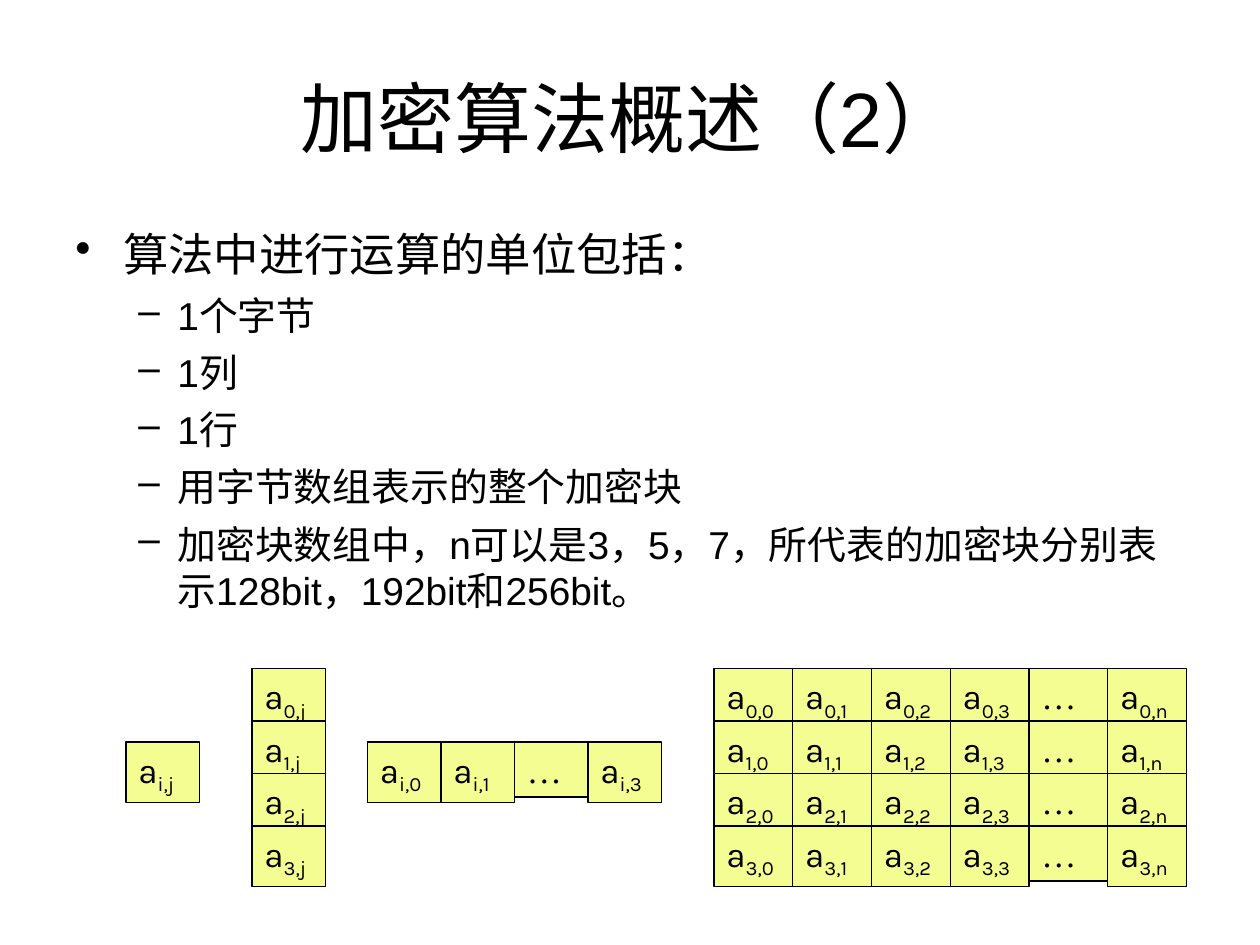
import pptx
import pptx.dml.color
import pptx.enum.shapes
import pptx.enum.text
import pptx.oxml
import pptx.oxml.ns
import pptx.util

COLORS = {"text": "000000", "cell": "F3FD91", "page": "FFFFFF"}
WIDTH, HEIGHT = pptx.util.Inches(10), pptx.util.Inches(7.5)
UNIT = WIDTH / 240
ROW_STEP = 10
ELLIPSIS = "…"
LEVELS = [
    {"size": 25.9, "left": 0.38, "hang": 0.38, "bullet": "•"},
    {"size": 22.2, "left": 0.81, "hang": 0.31, "bullet": "–"},
]
BULLETS = [
    (0, "算法中进行运算的单位包括："),
    (1, "1个字节"),
    (1, "1列"),
    (1, "1行"),
    (1, "用字节数组表示的整个加密块"),
    (1, "加密块数组中，n可以是3，5，7，所代表的加密块分别表示128bit，192bit和256bit。"),
]
MATRIX_COLUMNS = ["0", "1", "2", "3", ELLIPSIS, "n"]


def color(name):
    """Return the named colour."""
    return pptx.dml.color.RGBColor.from_string(COLORS[name])


def place(shape, box):
    """Move a shape to a box given in grid units."""
    shape.left, shape.top, shape.width, shape.height = (round(side * UNIT) for side in box)


def add_span(para, text, size, font="Arial", baseline=0):
    """Add one formatted run to a paragraph."""
    span = para.add_run()
    span.text = text
    span.font.size = pptx.util.Pt(size)
    span.font.name = font
    span.font.color.rgb = color("text")
    if baseline:
        span._r.get_or_add_rPr().set("baseline", str(baseline * 1000))


def set_bullet(para, level):
    """Give a paragraph the bullet and hanging indent of its level."""
    style = LEVELS[level]
    para.level = level
    properties = para._p.get_or_add_pPr()
    properties.set("marL", str(pptx.util.Inches(style["left"])))
    properties.set("indent", str(-pptx.util.Inches(style["hang"])))
    bullet = pptx.oxml.parse_xml(
        f'<a:buChar {pptx.oxml.ns.nsdecls("a")} char="{style["bullet"]}"/>')
    properties.append(bullet)


def add_title(page, box):
    """Format the title placeholder."""
    title = page.shapes.title
    place(title, box)
    frame = title.text_frame
    frame.vertical_anchor = pptx.enum.text.MSO_ANCHOR.MIDDLE
    para = frame.paragraphs[0]
    para.alignment = pptx.enum.text.PP_ALIGN.CENTER
    add_span(para, "加密算法概述（2）", 44)


def add_body(page, box):
    """Add the two-level bullet list."""
    body = page.shapes.add_textbox(0, 0, 0, 0)
    place(body, box)
    frame = body.text_frame
    frame.word_wrap = True
    for index, (level, text) in enumerate(BULLETS):
        para = frame.add_paragraph() if index else frame.paragraphs[0]
        set_bullet(para, level)
        para.space_before = pptx.util.Pt(6 if index else 0)
        add_span(para, text, LEVELS[level]["size"])


def add_cell(shapes, box, label):
    """Add one byte cell, labelled with an index or an ellipsis."""
    cell = shapes.add_shape(pptx.enum.shapes.MSO_SHAPE.RECTANGLE, 0, 0, 0, 0)
    place(cell, box)
    cell.shadow.inherit = False
    cell.fill.solid()
    cell.fill.fore_color.rgb = color("cell")
    cell.line.color.rgb = color("text")
    cell.line.width = pptx.util.Pt(0.75)
    frame = cell.text_frame
    frame.word_wrap = True
    frame.auto_size = pptx.enum.text.MSO_AUTO_SIZE.SHAPE_TO_FIT_TEXT
    frame.vertical_anchor = pptx.enum.text.MSO_ANCHOR.TOP
    para = frame.paragraphs[0]
    para.alignment = pptx.enum.text.PP_ALIGN.LEFT
    if label == ELLIPSIS:
        add_span(para, label, 20, "Times New Roman")
    else:
        add_span(para, "a", 20, "Karla")
        add_span(para, label, 20, "Karla", -25)


def add_array(page, left, top, cell_width, rows, columns):
    """Add a grouped array of cells from its row and column indices."""
    shapes = page.shapes
    if len(rows) * len(columns) > 1:
        shapes = shapes.add_group_shape().shapes
    for row, row_index in enumerate(rows):
        for column, column_index in enumerate(columns):
            gap = column_index == ELLIPSIS
            label = ELLIPSIS if gap else f"{row_index},{column_index}"
            box = (left + column * cell_width, top + row * ROW_STEP,
                   cell_width, 10.5 if gap else 11.5)
            add_cell(shapes, box, label)


def main():
    """Build the slide and save it."""
    deck = pptx.Presentation()
    deck.slide_width, deck.slide_height = WIDTH, HEIGHT
    page = deck.slides.add_slide(deck.slide_layouts[5])
    page.background.fill.solid()
    page.background.fill.fore_color.rgb = color("page")
    add_title(page, (12, 7.2, 216, 30))
    add_body(page, (12, 42, 216, 79.2))
    upper, middle = 127.33, 141.33
    add_array(page, 24, middle, 14, "i", "j")
    add_array(page, 48, upper, 14, "0123", "j")
    add_array(page, 70, middle, 14, "i", ["0", "1", ELLIPSIS, "3"])
    add_array(page, 136, upper, 15, "0123", MATRIX_COLUMNS)
    deck.save("out.pptx")


if __name__ == "__main__":
    main()
